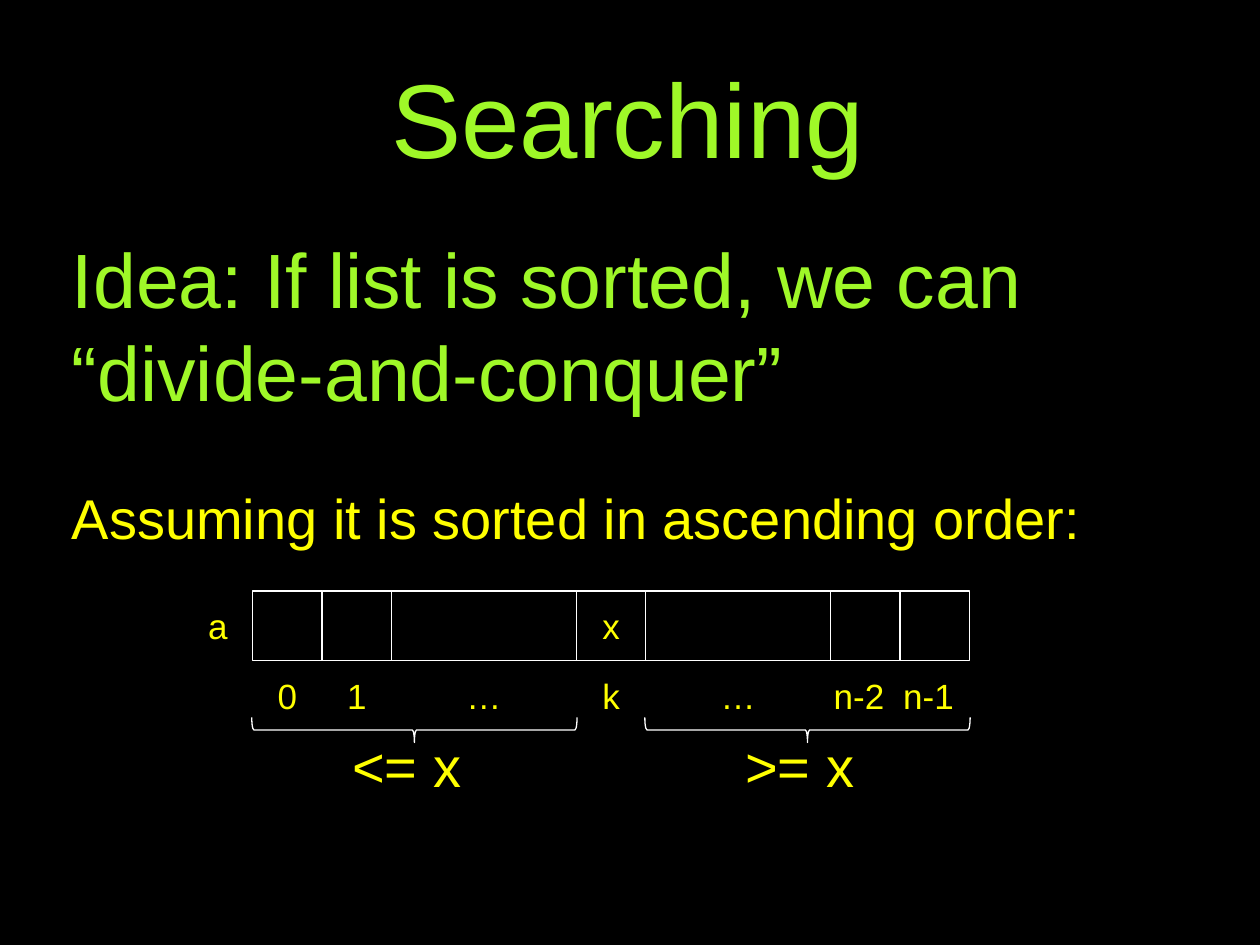
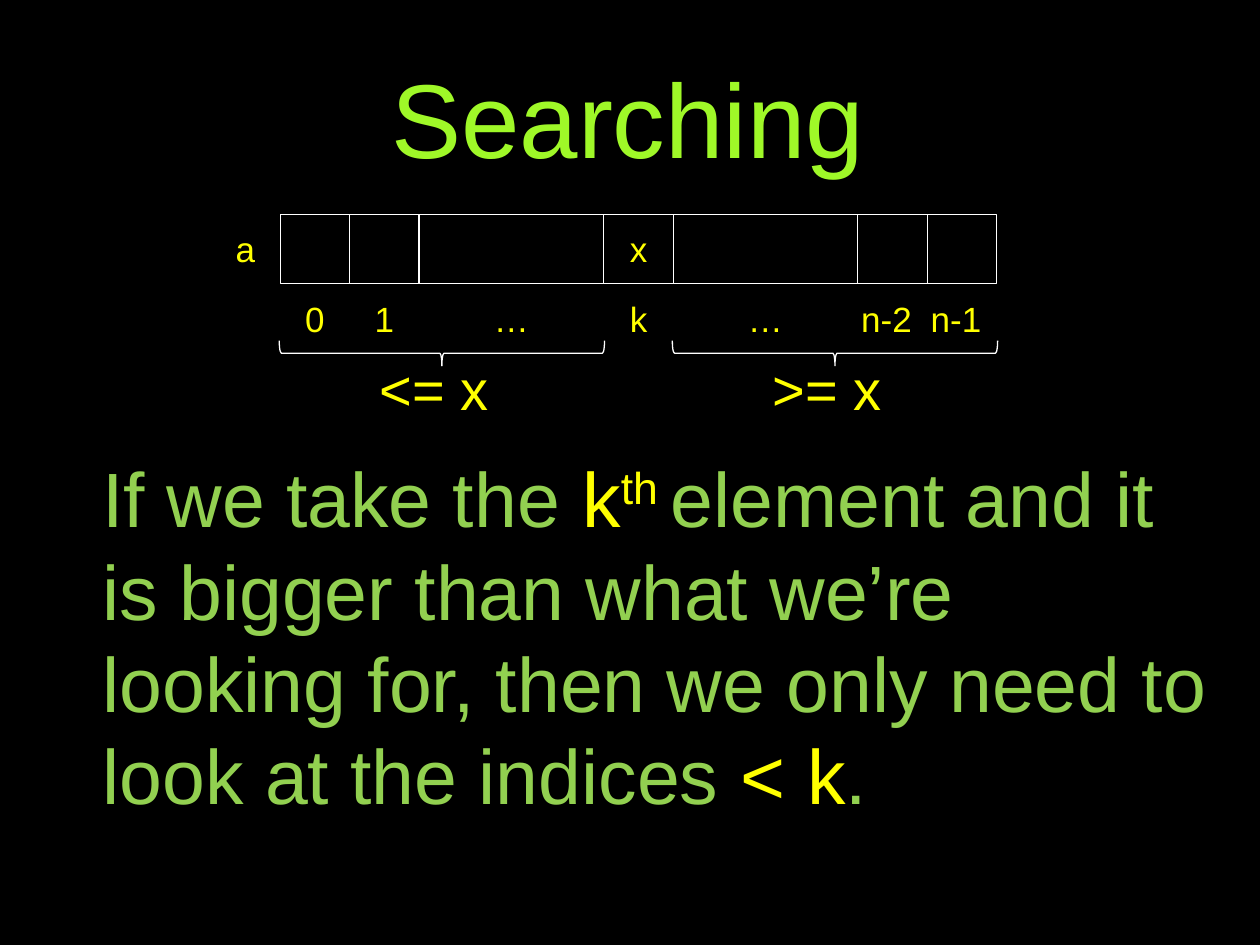
from pptx import Presentation
from pptx.dml.color import RGBColor
from pptx.enum import shapes, text
from pptx.util import Pt

BLACK, WHITE, YELLOW = "000000", "FFFFFF", "FFFF00"
LIME, GREEN = "9FF828", "92D050"
FONT = "Arial"
CELL, GAP = 39.7, 105.5          # side of one cell, width of an elided run
HALF = 2 * CELL + GAP            # cells on either side of k
BODY_INSETS = (4.6, 4.6, 7.2, 4.6)
LABEL_INSETS = (7.2, 3.6, 7.2, 3.6)


def rgb(value):
    return RGBColor.from_string(value)


class Deck:
    """Holds the style and the current slide."""

    def __init__(self):
        self.prs = Presentation()
        self.prs.slide_width, self.prs.slide_height = Pt(720), Pt(540)
        fill = self.prs.slide_master.background.fill
        fill.solid()
        fill.fore_color.rgb = rgb(BLACK)

    def style(self, font, size, color):
        font.name, font.size, font.color.rgb = FONT, Pt(size), rgb(color)

    def frame(self, sp, insets, anchor):
        tf = sp.text_frame
        tf.word_wrap = True
        tf.auto_size = text.MSO_AUTO_SIZE.NONE
        tf.vertical_anchor = anchor
        tf.margin_left, tf.margin_top, tf.margin_right, tf.margin_bottom = map(Pt, insets)
        return tf

    def centred(self, sp, words, size, color, insets=LABEL_INSETS):
        p = self.frame(sp, insets, text.MSO_ANCHOR.MIDDLE).paragraphs[0]
        p.text, p.alignment = words, text.PP_ALIGN.CENTER
        self.style(p.font, size, color)

    def slide(self, title):
        self.current = self.prs.slides.add_slide(self.prs.slide_layouts[5])
        sp = self.current.shapes.title
        sp.left, sp.top, sp.width, sp.height = Pt(36), Pt(5), Pt(648), Pt(123)
        self.centred(sp, title, 60, LIME, BODY_INSETS)

    def box(self, x, y, w, h):
        return self.current.shapes.add_textbox(Pt(x), Pt(y), Pt(w), Pt(h))

    def body(self, x, y, w, h):
        return self.frame(self.box(x, y, w, h), BODY_INSETS, text.MSO_ANCHOR.TOP)

    def label(self, words, x, y, w=CELL, size=20):
        self.centred(self.box(x, y, w, CELL), words, size, YELLOW)

    def outline(self, kind, x, y, w, h):
        sp = self.current.shapes.add_shape(kind, Pt(x), Pt(y), Pt(w), Pt(h))
        sp.shadow.inherit = False
        sp.fill.background()
        sp.line.color.rgb, sp.line.width = rgb(WHITE), Pt(0.75)
        return sp

    def brace(self, cx, cy, span, depth=14.4):
        sp = self.outline(shapes.MSO_SHAPE.LEFT_BRACE, cx - depth / 2, cy - span / 2,
                          depth, span)
        sp.rotation = 270

    def array(self, left, top):
        """Sorted list a, split around its k-th element x."""
        # Cells with their indices
        x = left
        for index, width in (("0", CELL), ("1", CELL), ("…", GAP), ("k", CELL),
                             ("…", GAP), ("n-2", CELL), ("n-1", CELL)):
            cell = self.outline(shapes.MSO_SHAPE.RECTANGLE, x, top, width, CELL)
            if index == "k":
                self.centred(cell, "x", 20, YELLOW)
            label_w = 46.6 if len(index) > 1 else width
            self.label(index, x + width - label_w, top + CELL, label_w)
            x += width
        self.label("a", left - CELL, top)
        # Braces and what holds on each side
        for half_left, relation in ((left, "<= x "), (left + HALF + CELL, ">= x ")):
            self.label(relation, half_left, top + 2 * CELL, HALF, 32)
            self.brace(half_left + HALF / 2, top + 2 * CELL, HALF + 1)


def main():
    deck = Deck()

    # Slide 1: the idea
    deck.slide("Searching")
    tf = deck.body(36.5, 128, 648, 412)
    p = tf.paragraphs[0]
    p.text = "Idea: If list is sorted, we can “divide-and-conquer”"
    deck.style(p.font, 44, LIME)
    p = tf.add_paragraph()
    p.text, p.space_before = "Assuming it is sorted in ascending order:", Pt(38)
    deck.style(p.font, 32, YELLOW)
    deck.array(144.4, 337.7)

    # Slide 2: comparing with the k-th element
    deck.slide("Searching")
    p = deck.body(54, 253, 648, 270).paragraphs[0]
    for words, color in (
            ("If we take the ", GREEN), ("k", YELLOW), ("th ", YELLOW),
            ("element and it is bigger than what we’re looking for, then we only "
             "need to look at the indices ", GREEN), ("< k", YELLOW), (".", GREEN)):
        r = p.add_run()
        r.text = words
        deck.style(r.font, 44, color)
        if words == "th ":
            r.font._element.set("baseline", "30000")
    deck.array(160.1, 122.4)

    deck.prs.save("out.pptx")


if __name__ == "__main__":
    main()
